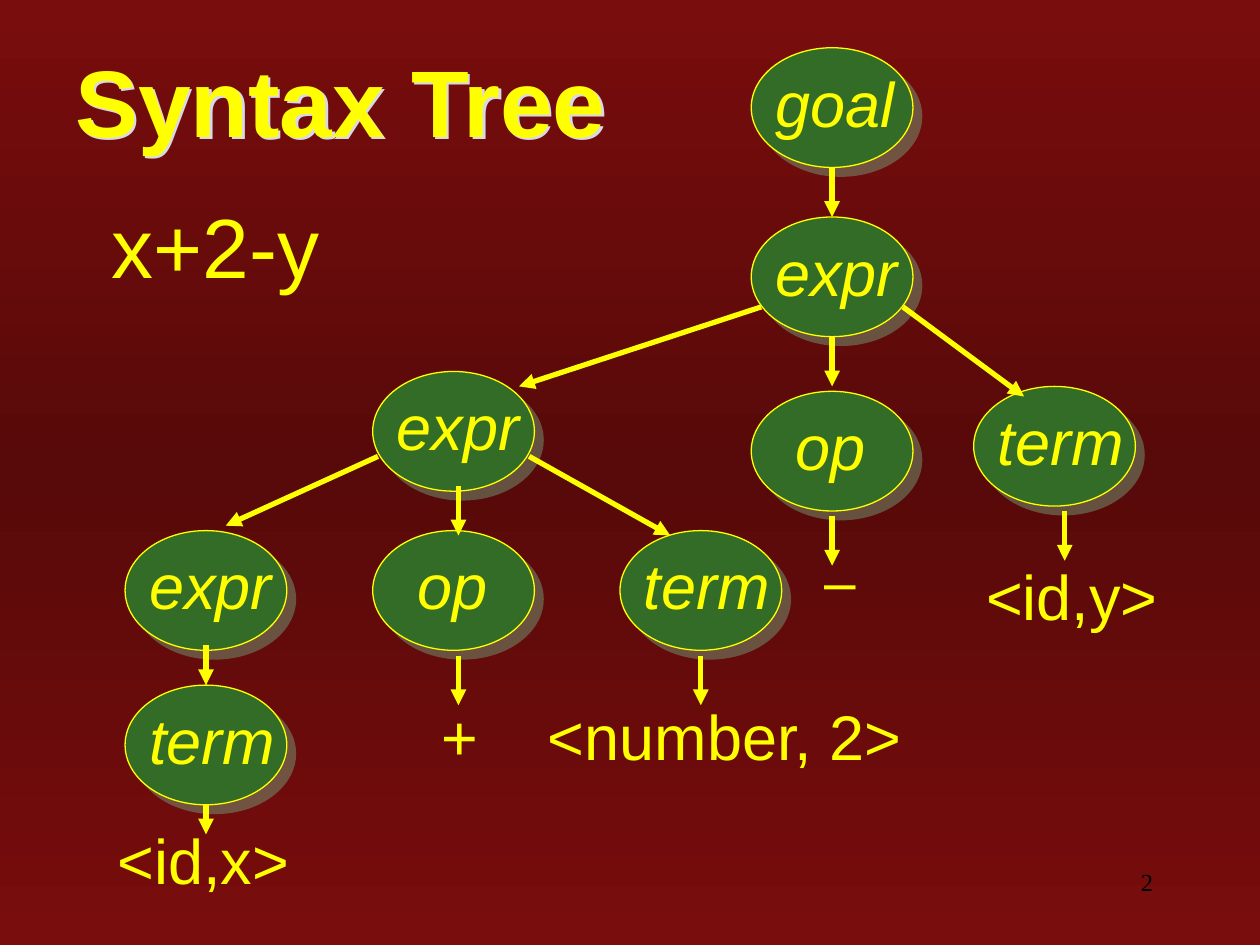
from dataclasses import dataclass

from lxml.etree import SubElement
from pptx import Presentation
from pptx.dml.color import RGBColor as Color
from pptx.enum.shapes import MSO_CONNECTOR as Connector, MSO_SHAPE as Shape
from pptx.enum.text import MSO_ANCHOR as Anchor, MSO_AUTO_SIZE as AutoSize, PP_ALIGN as Align
from pptx.oxml import parse_xml
from pptx.oxml.ns import nsdecls, qn
from pptx.util import Pt


@dataclass(frozen=True)
class Theme:
    edge: str = "790D0D"
    middle: str = "580909"
    node: str = "336C26"
    accent: str = "FFFF00"
    shadow: str = "729A76"
    title_shadow: str = "D8D8E8"
    number: str = "000000"
    font: str = "Arial"
    dash_font: str = "TeX Gyre Adventor"
    number_font: str = "Times New Roman"
    title_size: int = 54
    body_size: int = 48
    label_size: int = 36
    number_size: int = 14


THEME = Theme()
NODE_WIDTH, NODE_HEIGHT = 92.4, 68.4
LABEL_HEIGHT = 50.4
LABEL_WIDTHS = {"goal": 83.4, "expr": 84.8, "term": 87, "op": 55.4}

# Tree nodes: word, left, top
NODES = {
    "goal": ("goal", 429.3, 27.3),
    "root": ("expr", 429.3, 124),
    "right term": ("term", 556.4, 220.8),
    "minus op": ("op", 429.3, 223.6),
    "left expr": ("expr", 213, 212.3),
    "number term": ("term", 354.3, 303.2),
    "plus op": ("op", 213, 303.2),
    "x expr": ("expr", 71.5, 303.2),
    "x term": ("term", 71.5, 391.5),
}

# Arrows: start, end, and the node whose top the arrow meets
ARROWS = [
    ((475.5, 95.7), (475.5, 124), "root"),
    ((475.5, 192.4), (475.5, 220.8), None),
    ((475.5, 294.8), (475.5, 323.2), None),
    ((435, 175.4), (296.6, 220.8), None),
    ((516, 175.4), (585.2, 226.6), None),
    ((608.4, 292), (608.4, 320.4), None),
    ((400.5, 374.6), (400.5, 403), None),
    ((262, 374.6), (262, 403), None),
    ((117.7, 460), (117.7, 476.8), None),
    ((302.4, 260.8), (383, 306), None),
    ((262, 277.8), (262, 306), None),
    ((216, 260.8), (129, 300.4), None),
    ((117.7, 368.8), (117.7, 391.5), "x term"),
]

# Leaves: text, left, top, width, format
LEAVES = [
    ("–", 464, 306, 32.4, {"font": THEME.dash_font}),
    ("<id,y>", 556.4, 314.8, 112.4, {}),
    ("<id,x>", 60, 466, 112.4, {}),
    ("+", 244.8, 394.8, 35.4, {"italic": True}),
    ("<number, 2>", 306, 394.8, 218.4, {}),
]


def paint_background(page):
    fill = page.background.fill
    fill.gradient()
    fill.gradient_angle = 270
    stops = fill._fill._gradFill.find(qn("a:gsLst"))
    for stop in list(stops):
        stops.remove(stop)
    for position, color in ((0, THEME.edge), (50000, THEME.middle), (100000, THEME.edge)):
        stop = SubElement(stops, qn("a:gs"), pos=str(position))
        SubElement(stop, qn("a:srgbClr"), val=color)


def add_shadow(shape, color, distance, opacity):
    shape._element.spPr.append(parse_xml(
        f'<a:effectLst {nsdecls("a")}><a:outerShdw blurRad="0" dist="{Pt(distance)}" '
        f'dir="2700000" algn="ctr" rotWithShape="0"><a:srgbClr val="{color}">'
        f'<a:alpha val="{opacity * 1000}"/></a:srgbClr></a:outerShdw></a:effectLst>'))


def add_text(page, text, left, top, width, height, *, size=THEME.label_size,
             font=THEME.font, color=THEME.accent, bold=False, italic=False,
             align=Align.LEFT, anchor=Anchor.TOP, wrap=False, indent=0,
             line_spacing=None):
    box = page.shapes.add_textbox(Pt(left), Pt(top), Pt(width), Pt(height))
    frame = box.text_frame
    frame.word_wrap = wrap
    frame.auto_size = AutoSize.NONE if wrap else AutoSize.SHAPE_TO_FIT_TEXT
    frame.vertical_anchor = anchor
    frame.margin_left = Pt(7.2 + indent)
    para = frame.paragraphs[0]
    para.alignment = align
    para.line_spacing = line_spacing
    span = para.add_run()
    span.text = text
    span.font.name = font
    span.font.size = Pt(size)
    span.font.bold, span.font.italic = bold, italic
    span.font.color.rgb = Color.from_string(color)
    return box


def add_node(page, word, left, top):
    node = page.shapes.add_shape(Shape.OVAL, Pt(left), Pt(top), Pt(NODE_WIDTH), Pt(NODE_HEIGHT))
    node.fill.solid()
    node.fill.fore_color.rgb = Color.from_string(THEME.node)
    node.line.color.rgb = Color.from_string(THEME.accent)
    node.line.width = Pt(0.75)
    add_shadow(node, THEME.shadow, 7.1, 50)
    inset = 18.4 if word == "op" else 6.6
    add_text(page, word, left + inset, top + 5.8, LABEL_WIDTHS[word], LABEL_HEIGHT, italic=True)
    return node


def add_arrow(page, start, end, target=None):
    arrow = page.shapes.add_connector(Connector.STRAIGHT, *map(Pt, start + end))
    if target is not None:
        arrow.end_connect(target, 0)
    arrow.line.color.rgb = Color.from_string(THEME.accent)
    arrow.line.width = Pt(3)
    SubElement(arrow.line._get_or_add_ln(), qn("a:tailEnd"), type="triangle")
    SubElement(arrow._element.spPr, qn("a:effectLst"))


def main():
    deck = Presentation()
    deck.slide_width, deck.slide_height = Pt(720), Pt(540)
    page = deck.slides.add_slide(deck.slide_layouts[6])
    paint_background(page)

    # Page number, title and the expression being parsed
    add_text(page, "2", 516.2, 491.8, 149.8, 36, size=THEME.number_size,
             font=THEME.number_font, color=THEME.number, align=Align.RIGHT, wrap=True)
    title = add_text(page, "Syntax Tree", 36, 6, 678, 102, size=THEME.title_size,
                     bold=True, anchor=Anchor.MIDDLE, wrap=True)
    add_shadow(title, THEME.title_shadow, 2, 100)
    add_text(page, "x+2-y", 30, 114, 228, 60, size=THEME.body_size,
             wrap=True, indent=26.6, line_spacing=0.9)

    # Tree
    nodes = {key: add_node(page, *node) for key, node in NODES.items()}
    for start, end, target in ARROWS:
        add_arrow(page, start, end, nodes.get(target))
    for text, left, top, width, style in LEAVES:
        add_text(page, text, left, top, width, LABEL_HEIGHT, **style)

    deck.save("out.pptx")


if __name__ == "__main__":
    main()
